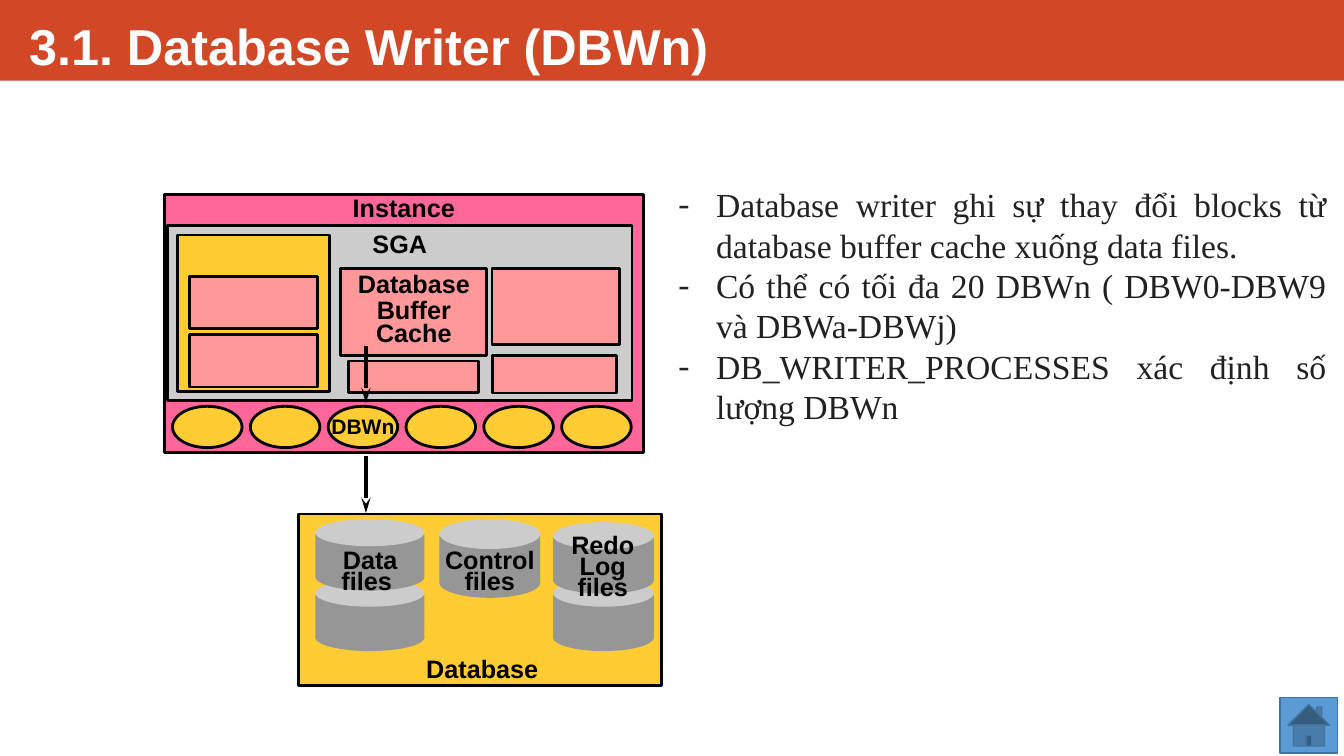
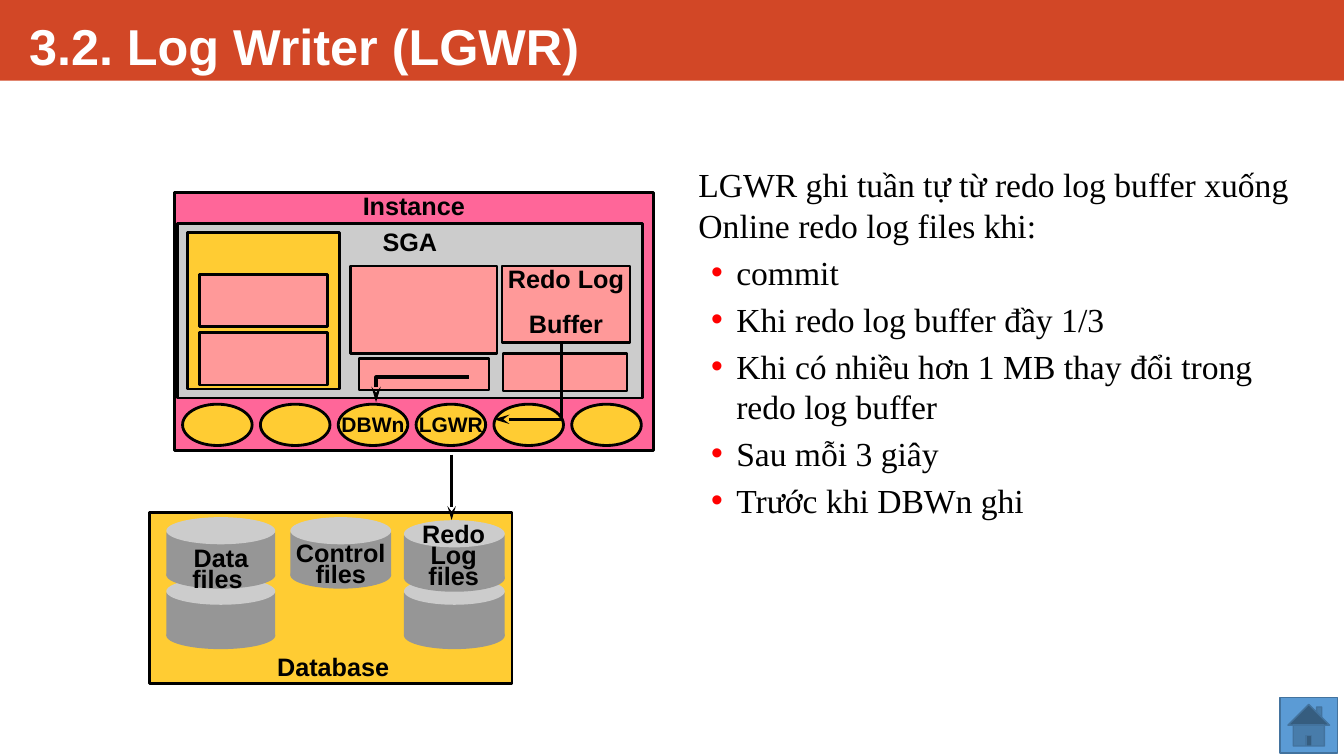
from pptx import Presentation
from pptx.dml.color import RGBColor as Rgb
from pptx.enum.shapes import MSO_CONNECTOR as Link, MSO_SHAPE as Kind
from pptx.enum.text import MSO_ANCHOR as Anchor, PP_ALIGN as Align
from pptx.oxml.ns import qn
from pptx.util import Pt
from lxml.etree import SubElement as Sub

HUES = {
    "band": "D24726", "home": "5B9BD5", "rim": "43739E", "white": "FFFFFF",
    "black": "000000", "ink": "222222", "soft": "212121", "red": "FF0000",
    "pink": "FF6699", "rose": "FF9999", "gold": "FFCC33",
    "pale": "CCCCCC", "gray": "969696",
}
SANS, SERIF = "Arial", "Times New Roman"

# Paragraphs are (text, line spacing, space before).
# Arrows are (line width, points measured from the instance corner).
PAGES = [
    {
        "title": "3.1. Database Writer (DBWn)",
        "inst": (117.4, 139), "base": (213.1, 367.2),
        "parts": {"cache": [("Database", 0.65, 0), ("Buffer\nCache", 0.75, 3)]},
        "procs": ["", "", "DBWn", "", "", ""],
        "control": 1.1, "tags": {"Data files ": 23, "Control files": 23, "Redo Log files": 12.2},
        "arrows": [(2.25, [(144, 186.5), (144, 227.5)]),
                   (2.25, [(144, 108), (144, 149)])],
        "body": (483.8, 131, 464.4, 176.4),
        "lines": [
            ("Database writer ghi sự thay đổi blocks từ database buffer cache xuống data files.", "-", "ink"),
            ("Có thể có tối đa 20 DBWn ( DBW0-DBW9 và DBWa-DBWj)", "-", "soft"),
            ("DB_WRITER_PROCESSES xác định số lượng DBWn", "-", "soft"),
        ],
    },
    {
        "title": "3.2. Log Writer (LGWR)",
        "inst": (124.6, 137.5), "base": (106.6, 365.8),
        "parts": {"redo": [("Redo Log", 0.75, 0), ("Buffer", 0.75, 15.5)]},
        "procs": ["", "", "DBWn", "LGWR", "", ""],
        "control": 1, "tags": {"Data files ": 23, "Control files": 19.4, "Redo Log files": 5.8},
        "arrows": [(2, [(198, 187.2), (198, 234)]),
                   (2.25, [(276.5, 108), (276.5, 162), (228.2, 162)]),
                   (2.25, [(210.2, 131.8), (144, 131.8), (144, 149.8)])],
        "body": (498.2, 116.6, 442.8, 263.5),
        "lines": [
            ("LGWR ghi tuần tự từ redo log buffer xuống Online redo log files khi: ", "", "black"),
            ("commit", "•", "black"),
            ("Khi redo log buffer đầy 1/3 ", "•", "black"),
            ("Khi có nhiều hơn 1 MB thay đổi trong redo log buffer", "•", "black"),
            ("Sau mỗi 3 giây ", "•", "black"),
            ("Trước khi DBWn ghi", "•", "black"),
        ],
    },
]

# Memory areas: name, box from the instance corner, fill.
AREAS = [
    ("redo", (234, 52.6, 91.4, 54.7), "rose"),
    ("pga", (9.4, 28.8, 108.7, 111.6), "gold"),
    ("lower", (18, 100.1, 91.4, 37.4), "rose"),
    ("upper", (18, 58.3, 91.4, 37.4), "rose"),
    ("cache", (126, 52.6, 104.4, 62.6), "rose"),
    ("left", (131.8, 118.8, 92.9, 22.3), "rose"),
    ("right", (234.7, 115.2, 88.6, 26.6), "rose"),
]
# Disks: left, top, width from the database corner.
DISKS = [(12.2, 46.8, 77.8), (12.2, 3.6, 77.8), (182, 46.8, 72), (182, 5.8, 72)]
# File labels: left, width, height from the database corner.
TAGS = {"Data files ": (3.4, 95.8, 38.2), "Control files": (90.7, 92.2, 38.2),
        "Redo Log files": (176.4, 82.1, 53.3)}


def move(box, at):
    """Shift a box by a corner."""
    return (box[0] + at[0], box[1] + at[1], *box[2:])


def rgb(hue):
    """Look up a colour."""
    return Rgb.from_string(HUES[hue])


def put(shapes, kind, box, fill, line=None, width=2):
    """Add a flat preset shape."""
    shape = shapes.add_shape(kind, *map(Pt, box))
    shape.shadow.inherit = False
    shape.fill.solid()
    shape.fill.fore_color.rgb = rgb(fill)
    if line:
        shape.line.color.rgb = rgb(line)
        shape.line.width = Pt(width)
    else:
        shape.line.fill.background()
    return shape


def setup(shape, pads, anchor=Anchor.TOP, wrap=False):
    """Set the text frame and return it."""
    frame = shape.text_frame
    frame.word_wrap = wrap
    frame.vertical_anchor = anchor
    frame.margin_left = frame.margin_right = Pt(pads[0])
    frame.margin_top = frame.margin_bottom = Pt(pads[1])
    return frame


def add_para(frame, first, text, size, hue, font=SANS, bold=True, align=Align.CENTER):
    """Write one paragraph, with a line break at each newline."""
    para = frame.paragraphs[0] if first else frame.add_paragraph()
    para.alignment = align
    for i, part in enumerate(text.split("\n")):
        if i:
            para.add_line_break()
        run = para.add_run()
        run.text = part
        run.font.size, run.font.name, run.font.bold = Pt(size), font, bold
        run.font.color.rgb = rgb(hue)
    return para


def label(shape, paras, size=18, pads=(3.6, 3.6), anchor=Anchor.TOP, wrap=False):
    """Write bold black text on a diagram part."""
    frame = setup(shape, pads, anchor, wrap)
    for i, (text, gap, before) in enumerate(paras):
        para = add_para(frame, i == 0, text, size, "black")
        para.line_spacing, para.space_before = gap, Pt(before)


def arrow(shapes, points, width):
    """Draw a straight or bent line that ends in an arrowhead."""
    spots = [(Pt(x), Pt(y)) for x, y in points]
    if len(spots) == 2:
        line = shapes.add_connector(Link.STRAIGHT, *spots[0], *spots[1])
        Sub(line._element.spPr, qn("a:effectLst"))
    else:
        path = shapes.build_freeform(*spots[0])
        path.add_line_segments(spots[1:], close=False)
        line = path.convert_to_shape()
        line.shadow.inherit = False
        line.fill.background()
    line.line.color.rgb = rgb("black")
    line.line.width = Pt(width)
    Sub(line.line._get_or_add_ln(), qn("a:tailEnd"), type="stealth", w="med", len="lg")


def disk(shapes, x, y, w, tall=1):
    """Group a side and two ovals into a disk."""
    group = shapes.add_group_shape().shapes
    for kind, top, high, fill in [(Kind.RECTANGLE, 10.8, 31, "gray"),
                                  (Kind.OVAL, 0, 19.4, "pale"),
                                  (Kind.OVAL, 31.7, 19.4, "gray")]:
        put(group, kind, (x, y + top * tall, w, high * tall), fill)


def frame_page(shapes, title):
    """Draw the band, home button and title."""
    put(shapes, Kind.RECTANGLE, (0, 0, 960, 57.6), "band")
    put(shapes, Kind.ACTION_BUTTON_HOME, (914.4, 498.2, 41, 39.6), "home", "rim", 1)
    box = shapes.add_textbox(*map(Pt, (13.7, 0, 931.7, 57.6)))
    frame = setup(box, (7.2, 3.6), Anchor.BOTTOM, True)
    add_para(frame, True, title, 36, "white", align=Align.LEFT)


def write_body(shapes, box, lines):
    """Write the text beside the diagram."""
    frame = setup(shapes.add_textbox(*map(Pt, box)), (0.7, 0.7), wrap=True)
    for i, (text, mark, hue) in enumerate(lines):
        dash = mark == "-"
        para = add_para(frame, i == 0, text, 24, hue, SERIF, False,
                        Align.JUSTIFY if dash else Align.LEFT)
        para.space_before = Pt(0 if dash else 4.8)
        if mark:
            props = para._p.get_or_add_pPr()
            props.set("marL", str(Pt(27)))
            props.set("indent", str(-Pt(27 if dash else 18)))
            if not dash:
                Sub(Sub(props, qn("a:buClr")), qn("a:srgbClr"), val=HUES["red"])
            Sub(props, qn("a:buFont"), typeface=SERIF if dash else SANS)
            Sub(props, qn("a:buChar"), char=mark)


def draw_base(shapes, page):
    """Draw the database with its disks and labels."""
    at = page["base"]
    put(shapes, Kind.RECTANGLE, (*at, 259.2, 122.4), "gold", "black")
    disk(shapes, *move((100.8, 3.6, 72), at), page["control"])
    for spot in DISKS:
        disk(shapes, *move(spot, at))
    for text, top in page["tags"].items():
        x, w, h = TAGS[text]
        box = shapes.add_textbox(*map(Pt, move((x, top, w, h), at)))
        label(box, [(text, 0.7, 0)], pads=(7.9, 4.3), wrap=True)
    box = shapes.add_textbox(*map(Pt, move((84.2, 95.8, 94.3, 28.8), at)))
    label(box, [("Database", 1.0, 0)], pads=(7.2, 3.6))


def draw_inst(shapes, page):
    """Draw the instance with its memory areas and processes."""
    at = page["inst"]
    inst = put(shapes, Kind.RECTANGLE, (*at, 342, 184.3), "pink", "black")
    label(inst, [("Instance", 0.95, 0)], pads=(3.6, 0))
    sga = put(shapes, Kind.RECTANGLE, move((2.2, 22.3, 331.9, 124.6), at), "pale", "black")
    label(sga, [("SGA", 0.95, 0)])
    for name, box, fill in AREAS:
        area = put(shapes, Kind.RECTANGLE, move(box, at), fill, "black")
        if name in page["parts"]:
            label(area, page["parts"][name], anchor=Anchor.MIDDLE)
    for i, name in enumerate(page["procs"]):
        oval = put(shapes, Kind.OVAL, move((5.8 + 55.6 * i, 151.2, 49.7, 29.5), at), "gold", "black")
        if name:
            label(oval, [(name, 0.95, 0)], 15, anchor=Anchor.MIDDLE)


deck = Presentation()
deck.slide_width, deck.slide_height = Pt(960), Pt(540)
for page in PAGES:
    shapes = deck.slides.add_slide(deck.slide_layouts[6]).shapes
    frame_page(shapes, page["title"])
    write_body(shapes, page["body"], page["lines"])
    draw_inst(shapes, page)
    draw_base(shapes, page)
    for width, points in page["arrows"]:
        arrow(shapes, [move(spot, page["inst"]) for spot in points], width)
deck.save("out.pptx")
